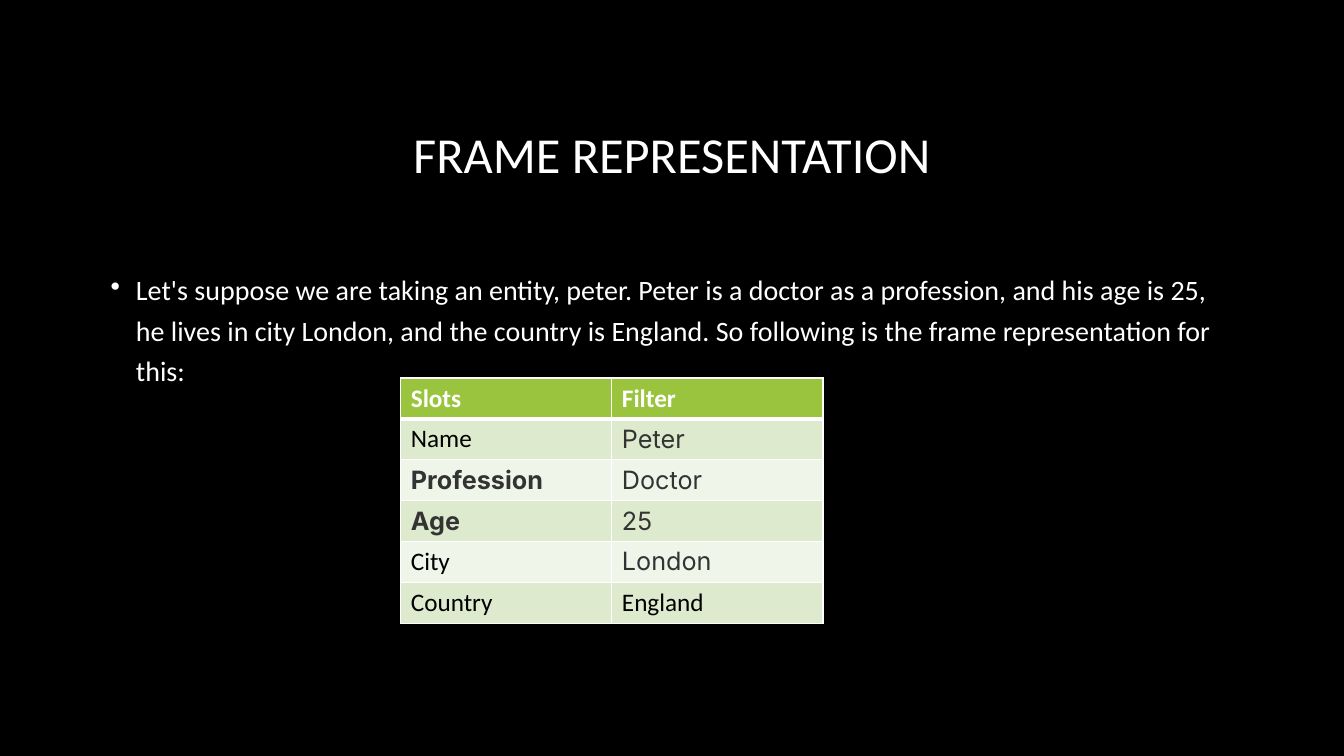
from lxml import etree
from pptx import Presentation
from pptx.dml.color import RGBColor
from pptx.enum import text
from pptx.oxml import ns
from pptx.util import Pt

BLACK = RGBColor(0, 0, 0)
WHITE = RGBColor(255, 255, 255)
GREY = RGBColor(0x33, 0x33, 0x33)
GREEN = RGBColor(0x9A, 0xC4, 0x3E)
BANDS = RGBColor(0xEF, 0xF5, 0xE8), RGBColor(0xDE, 0xEA, 0xCE)

BODY = "Calibri"
WEB = "Inter"
INTRO = (
    "Let's suppose we are taking an entity, peter. Peter is a doctor as a "
    "profession, and his age is 25, he lives in city London, and the country "
    "is England. So following is the frame representation for this:"
)

# Each cell: wording, font, colour, bold
HEAD = (BODY, WHITE, True)
PLAIN = (BODY, BLACK, False)
SOFT = (WEB, GREY, False)
STRONG = (WEB, GREY, True)
ROWS = [
    [("Slots", HEAD), ("Filter", HEAD)],
    [("Name", PLAIN), ("Peter", SOFT)],
    [("Profession", STRONG), ("Doctor", SOFT)],
    [("Age", STRONG), ("25", SOFT)],
    [("City", PLAIN), ("London", SOFT)],
    [("Country", PLAIN), ("England", PLAIN)],
]


def style(para, size, face, color, bold=False):
    font = para.font
    font.size = Pt(size)
    font.name = face
    font.bold = bold
    font.color.rgb = color


def add_title(slide, words):
    title = slide.shapes.title
    title.left, title.top = Pt(72), Pt(49)
    title.width, title.height = Pt(816), Pt(126)
    frame = title.text_frame
    frame.text = words
    frame.vertical_anchor = text.MSO_ANCHOR.MIDDLE
    para = frame.paragraphs[0]
    para.alignment = text.PP_ALIGN.CENTER
    para.line_spacing = 0.9
    style(para, 36, BODY, WHITE)


def add_bullet(slide, words):
    box = slide.shapes.add_textbox(Pt(72), Pt(186.5), Pt(816), Pt(269))
    frame = box.text_frame
    frame.word_wrap = True
    para = frame.paragraphs[0]
    para.text = words
    para.line_spacing = 1.2
    para.space_before = Pt(10)
    style(para, 20, BODY, WHITE)
    props = para._p.get_or_add_pPr()
    props.set("marL", str(Pt(18)))
    props.set("indent", str(-Pt(18)))
    mark = etree.Element(ns.qn("a:buChar"), char="•")
    props.insert_element_before(mark, "a:tabLst", "a:defRPr", "a:extLst")


def add_edge(cell, side, width):
    props = cell._tc.get_or_add_tcPr()
    line = etree.SubElement(props, ns.qn(f"a:ln{side}"), w=str(Pt(width)))
    fill = etree.SubElement(line, ns.qn("a:solidFill"))
    etree.SubElement(fill, ns.qn("a:srgbClr"), val=str(WHITE))


def fill_cell(cell, row, words, look):
    cell.text = words
    style(cell.text_frame.paragraphs[0], 18, *look)
    # Borders have to stand before the fill in the cell's XML
    for side in "LRTB":
        thick = (row, side) in ((0, "B"), (1, "T"))
        add_edge(cell, side, 3 if thick else 1)
    cell.fill.solid()
    cell.fill.fore_color.rgb = BANDS[row % 2] if row else GREEN


def add_frame(slide, rows):
    high, wide = 29.2, 150.8
    count = len(rows)
    table = slide.shapes.add_table(
        count, 2, Pt(286.3), Pt(270), Pt(2 * wide), Pt(count * high)
    ).table
    for col in table.columns:
        col.width = Pt(wide)
    for r, row in enumerate(rows):
        table.rows[r].height = Pt(high)
        for c, (words, look) in enumerate(row):
            fill_cell(table.cell(r, c), r, words, look)


def main():
    deck = Presentation()
    deck.slide_width, deck.slide_height = Pt(960), Pt(540)
    slide = deck.slides.add_slide(deck.slide_layouts[5])
    back = slide.background.fill
    back.solid()
    back.fore_color.rgb = BLACK
    add_title(slide, "FRAME REPRESENTATION")
    add_bullet(slide, INTRO)
    add_frame(slide, ROWS)
    deck.save("out.pptx")


if __name__ == "__main__":
    main()
